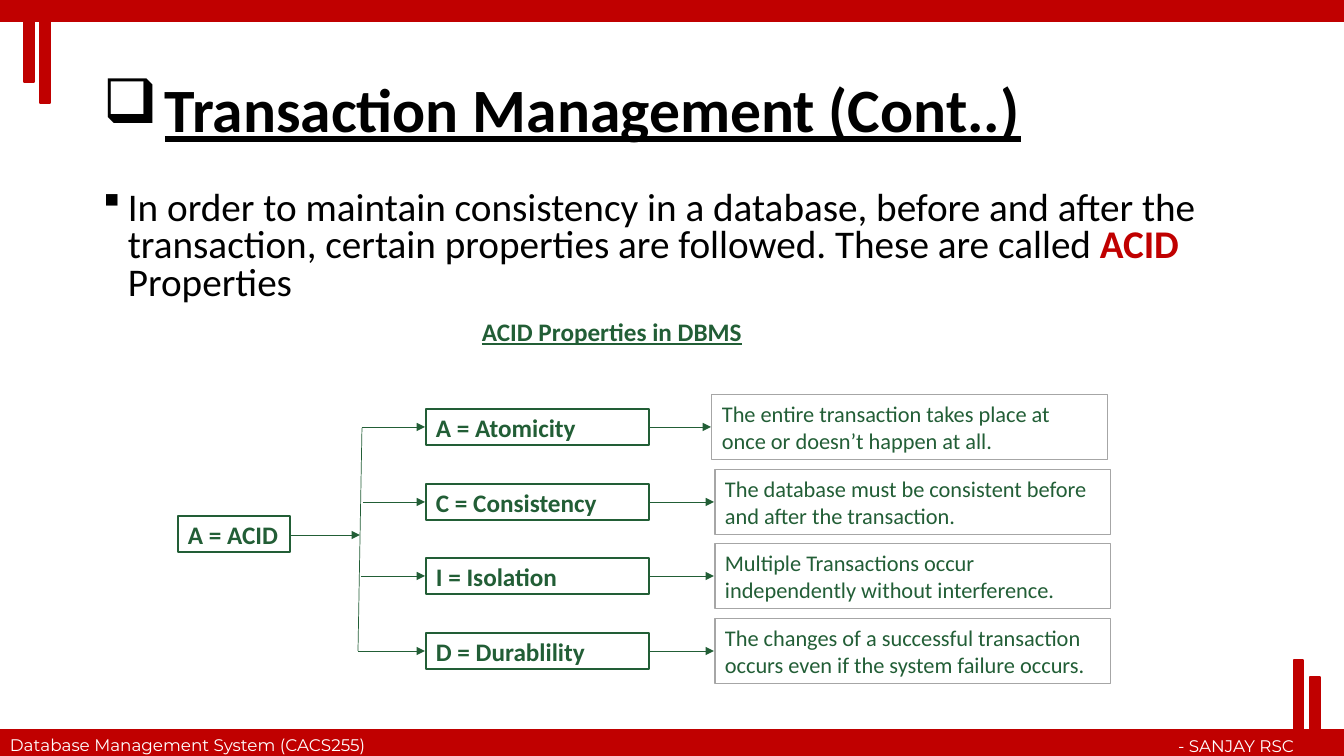
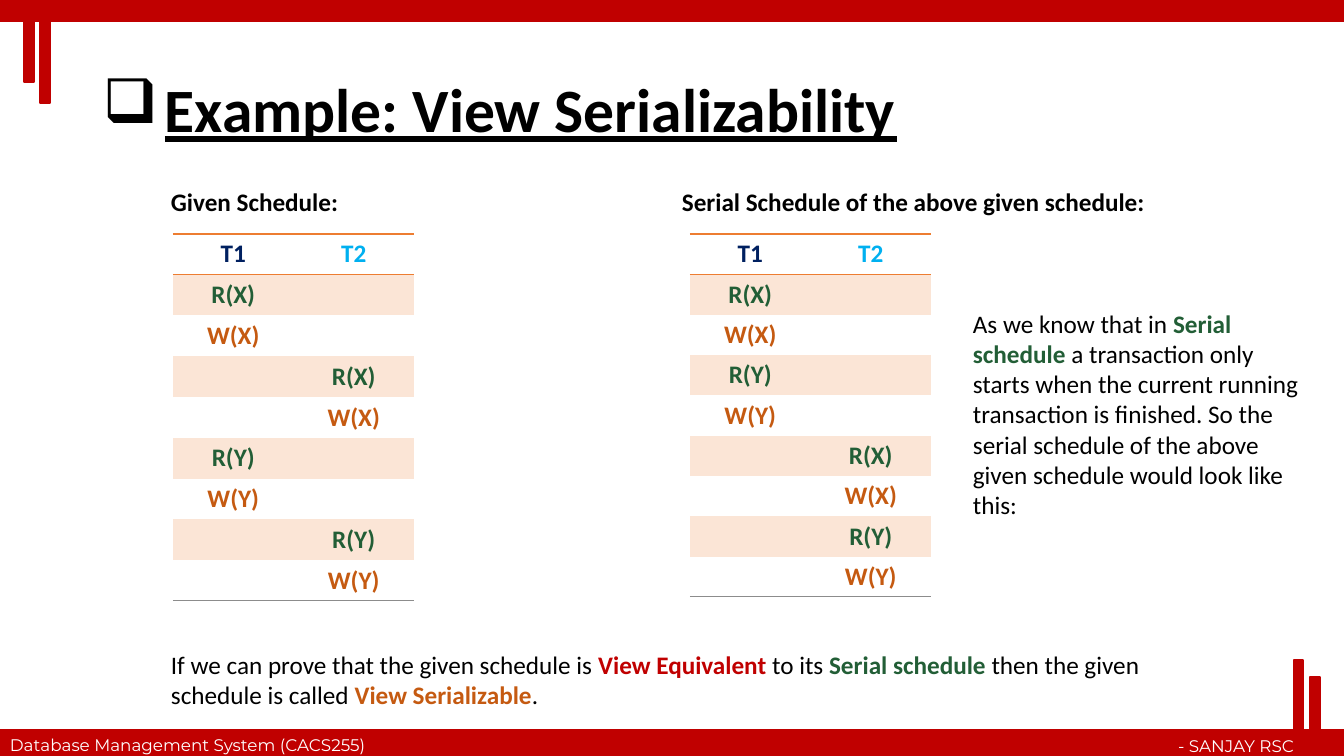
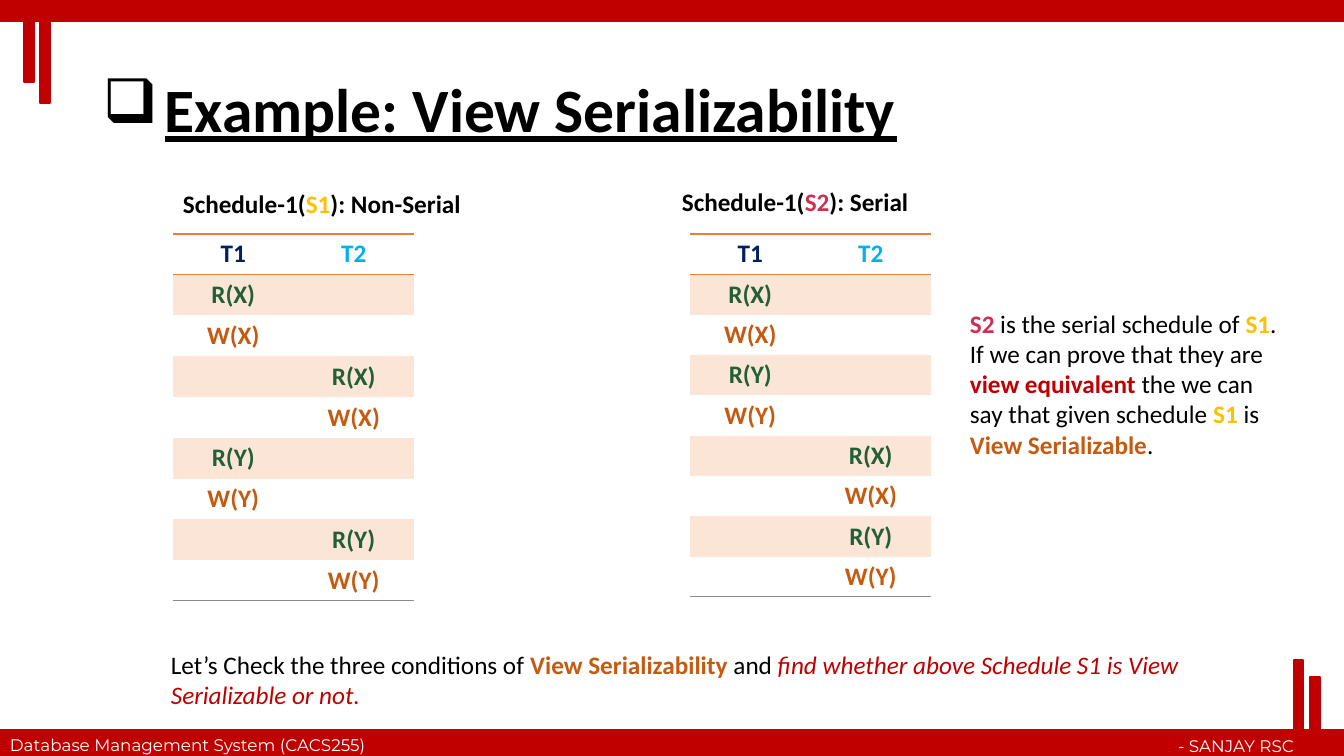
from lxml.etree import SubElement
from pptx import Presentation
from pptx.dml.color import RGBColor
from pptx.enum.shapes import MSO_CONNECTOR as Connector, MSO_SHAPE as Shape
from pptx.enum.text import MSO_ANCHOR as Anchor, PP_ALIGN as Align
from pptx.oxml import parse_xml
from pptx.oxml.ns import nsdecls, qn
from pptx.util import Emu, Pt

PIXEL = 914400 / 100.8
BLACK = RGBColor(0x00, 0x00, 0x00)
WHITE = RGBColor(0xFF, 0xFF, 0xFF)
RED = RGBColor(0xC0, 0x00, 0x00)
GREEN = RGBColor(0x22, 0x5E, 0x36)
ORANGE = RGBColor(0xED, 0x7D, 0x31)
RUST = RGBColor(0xC5, 0x5A, 0x11)
PEACH = RGBColor(0xFB, 0xE5, 0xD6)
NAVY = RGBColor(0x00, 0x20, 0x60)
SKY = RGBColor(0x00, 0xB0, 0xF0)
GOLD = RGBColor(0xFF, 0xC0, 0x00)
PINK = RGBColor(0xCD, 0x31, 0x52)
GREY = RGBColor(0xA6, 0xA6, 0xA6)
RULE_GREY = RGBColor(0x8C, 0x8C, 0x8C)

BODY = {"name": "Calibri", "size": Pt(18), "color": BLACK}
HEADING = BODY | {"bold": True}
KEY = HEADING | {"color": GREEN}
FOOTER = {"name": "Montserrat", "size": Pt(12), "color": WHITE}
TITLE = HEADING | {"size": Pt(44), "underline": True}


def px(length):
    """Turn pixels into EMU."""
    return Emu(round(length * PIXEL))


def strong(text, color):
    """Return a bold coloured run."""
    return text, {"bold": True, "color": color}


class Deck:
    """Holds the presentation, its shared style and the current slide."""

    def __init__(self):
        """Start an empty presentation."""
        self.presentation = Presentation()
        self.presentation.slide_width = px(1344)
        self.presentation.slide_height = px(756)
        self.slide = None

    def new_slide(self, title):
        """Add a slide with bands, footer and title."""
        layout = self.presentation.slide_layouts[6]
        self.slide = self.presentation.slides.add_slide(layout)
        bars = [(0, 730, 1344, 26), (0, 0, 1344, 21), (40, 1, 10, 102),
                (24, 3, 10, 79), (1294, 660, 9, 95), (1310, 677, 10, 79)]
        for bar in bars:
            self.box(bar, RED, 1, fill=RED)
        self.text((0, 730, 419, 30), ["Database Management System (CACS255)"], FOOTER)
        self.text((978, 731, 326, 30), ["- SANJAY RSC"], FOOTER, alignment=Align.RIGHT)
        paragraph = self.text((93, 40, 1159, 146), [title], TITLE, Anchor.MIDDLE,
                              line_spacing=0.9)
        self.bullet(paragraph, "q", 62)

    def fill_text(self, frame, runs, base, anchor=Anchor.TOP, **layout):
        """Fill a text frame with one paragraph of formatted runs."""
        frame.word_wrap = True
        frame.vertical_anchor = anchor
        paragraph = frame.paragraphs[0]
        for name, value in ({"alignment": Align.LEFT} | layout).items():
            setattr(paragraph, name, value)
        for item in runs:
            text, changes = (item, {}) if isinstance(item, str) else item
            run = paragraph.add_run()
            run.text = text
            for name, value in (base | changes).items():
                if name == "color":
                    run.font.color.rgb = value
                else:
                    setattr(run.font, name, value)
        return paragraph

    def text(self, area, runs, base=BODY, anchor=Anchor.TOP, **layout):
        """Add a text box and return its paragraph."""
        shape = self.slide.shapes.add_textbox(*map(px, area))
        return self.fill_text(shape.text_frame, runs, base, anchor, **layout)

    def bullet(self, paragraph, character, indent):
        """Give a paragraph a symbol bullet with a hanging indent."""
        properties = paragraph._p.get_or_add_pPr()
        properties.set("marL", str(px(indent)))
        properties.set("indent", str(-px(indent)))
        SubElement(properties, qn("a:buFont"), typeface="Wingdings")
        SubElement(properties, qn("a:buChar"), char=character)

    def box(self, area, line, width, fill=None):
        """Add an outlined rectangle, filled on request."""
        shape = self.slide.shapes.add_shape(Shape.RECTANGLE, *map(px, area))
        shape.shadow.inherit = False
        shape.line.color.rgb = line
        shape.line.width = Pt(width)
        if fill is None:
            shape.fill.background()
        else:
            shape.fill.solid()
            shape.fill.fore_color.rgb = fill
        return shape

    def label(self, area, text, base=KEY, line=GREEN, width=1, anchor=Anchor.MIDDLE):
        """Add an outlined rectangle with text."""
        shape = self.box(area, line, width)
        self.fill_text(shape.text_frame, [text], base, anchor)

    def line(self, start, end, arrow=True):
        """Add a thin green line, with an arrowhead by default."""
        connector = self.slide.shapes.add_connector(
            Connector.STRAIGHT, *map(px, start + end))
        connector.line.color.rgb = GREEN
        connector.line.width = Pt(0.5)
        if arrow:
            SubElement(connector.line._get_or_add_ln(), qn("a:tailEnd"), type="triangle")
        SubElement(connector._element.spPr, qn("a:effectLst"))

    def borders(self, cell, top, bottom):
        """Draw the top and bottom edges of a cell and clear its sides."""
        properties = cell._tc.get_or_add_tcPr()
        edges = {"lnL": None, "lnR": None, "lnT": top, "lnB": bottom}
        for position, (tag, color) in enumerate(edges.items()):
            paint = "<a:noFill/>" if color is None else (
                f'<a:solidFill><a:srgbClr val="{color}"/></a:solidFill>')
            edge = parse_xml(f'<a:{tag} {nsdecls("a")} w="12700">{paint}</a:{tag}>')
            properties.insert(position, edge)

    def schedule(self, left, height, steps):
        """Add a schedule table from (transaction, operation) steps."""
        rows = [("T1", "T2")] + [
            (operation, "") if transaction == 1 else ("", operation)
            for transaction, operation in steps]
        area = map(px, (left, 234, 241, height))
        table = self.slide.shapes.add_table(len(rows), 2, *area).table
        table.first_row = table.horz_banding = False
        edges = [ORANGE, ORANGE] + [None] * (len(rows) - 2) + [RULE_GREY]
        colors = {"T1": NAVY, "T2": SKY, "R": GREEN, "W": RUST}
        for number, row in enumerate(rows):
            table.rows[number].height = px(height / len(rows))
            for column, word in enumerate(row):
                cell = table.cell(number, column)
                cell.margin_top = cell.margin_bottom = px(3)
                cell.vertical_anchor = Anchor.MIDDLE
                if number % 2:
                    cell.fill.solid()
                    cell.fill.fore_color.rgb = PEACH
                else:
                    cell.fill.background()
                self.borders(cell, edges[number], edges[number + 1])
                if word:
                    color = colors.get(word) or colors[word[0]]
                    self.fill_text(cell.text_frame, [word], HEADING | {"color": color},
                                   Anchor.MIDDLE, alignment=Align.CENTER)
                else:
                    cell.text_frame.paragraphs[0].font.size = BODY["size"]


def acid_slide(deck):
    """Build the ACID properties diagram."""
    deck.new_slide("Transaction Management (Cont..)")
    paragraph = deck.text(
        (93, 186, 1159, 131),
        ["In order to maintain consistency in a database, before and after the "
         "transaction, certain properties are followed. These are called ",
         strong("ACID", RED), " Properties"],
        BODY | {"size": Pt(28)}, line_spacing=0.8, space_before=Pt(10))
    deck.bullet(paragraph, "§", 25)
    deck.text((472, 311, 281, 40), ["ACID Properties in DBMS"], KEY | {"underline": True})
    deck.label((178, 516, 112, 36), "A = ACID")
    deck.line((290, 535), (360, 535))
    deck.line((362, 428), (358, 651), arrow=False)
    properties = [
        (409, 712, 362, "A = Atomicity",
         "The entire transaction takes place at once or doesn’t happen at all."),
        (484, 715, 363, "C = Consistency",
         "The database must be consistent before and after the transaction."),
        (558, 715, 361, "I = Isolation",
         "Multiple Transactions occur independently without interference."),
        (633, 715, 358, "D = Durablility",
         "The changes of a successful transaction occurs even if the system "
         "failure occurs."),
    ]
    for top, meaning_left, branch_left, name, meaning in properties:
        middle = top + 18
        deck.label((426, top, 223, 36), name)
        deck.label((meaning_left, top - 14, 396, 65), meaning,
                   BODY | {"size": Pt(16), "color": GREEN}, GREY, 0.75, Anchor.TOP)
        deck.line((branch_left, middle), (425, middle))
        deck.line((650, middle), (meaning_left - 1, middle))


def schedules_slide(deck, headings, remark, conclusion):
    """Build a slide that sets a schedule beside its serial form."""
    deck.new_slide("Example: View Serializability")
    first = [(1, "R(X)"), (1, "W(X)")]
    second = [(1, "R(Y)"), (1, "W(Y)")]
    on_t2 = [(2, operation) for _, operation in first + second]
    deck.schedule(173, 367, first + on_t2[:2] + second + on_t2[2:])
    deck.schedule(690, 363, first + second + on_t2)
    for area, runs in headings:
        deck.text(area, runs, HEADING)
    deck.text(*remark)
    deck.text((161, 644, 1082, 72), conclusion)


deck = Deck()
acid_slide(deck)
schedules_slide(
    deck,
    [((161, 181, 232, 40), ["Given Schedule:"]),
     ((672, 181, 517, 40), ["Serial Schedule of the above given schedule:"])],
    ((963, 303, 361, 224),
     ["As we know that in\u00a0", strong("Serial schedule", GREEN),
      "\u00a0a transaction only starts when the current running transaction is "
      "finished. So the serial schedule of the above given schedule would look "
      "like this:"]),
    ["If we can prove that the given schedule is\u00a0", strong("View Equivalent", RED),
     "\u00a0to its ", strong("Serial schedule", GREEN),
     " then the given schedule is called\u00a0", strong("View Serializable", RUST), "."])
schedules_slide(
    deck,
    [((173, 183, 306, 40), ["Schedule-1(", strong("S1", GOLD), "): Non-Serial"]),
     ((672, 181, 517, 40), ["Schedule-1(", strong("S2", PINK), "): Serial"])],
    ((960, 303, 341, 163),
     [strong("S2", PINK), " is the serial schedule of ", strong("S1", GOLD),
      ". If we can prove that they are ", strong("view equivalent", RED),
      " the we can say that given schedule ", strong("S1", GOLD), " is ",
      strong("View Serializable", RUST), "."]),
    ["Let’s Check the three conditions of ", strong("View Serializability", RUST),
     " and ", ("find whether above Schedule S1 is View Serializable or not.",
               {"italic": True, "color": RED})])
deck.presentation.save("out.pptx")
